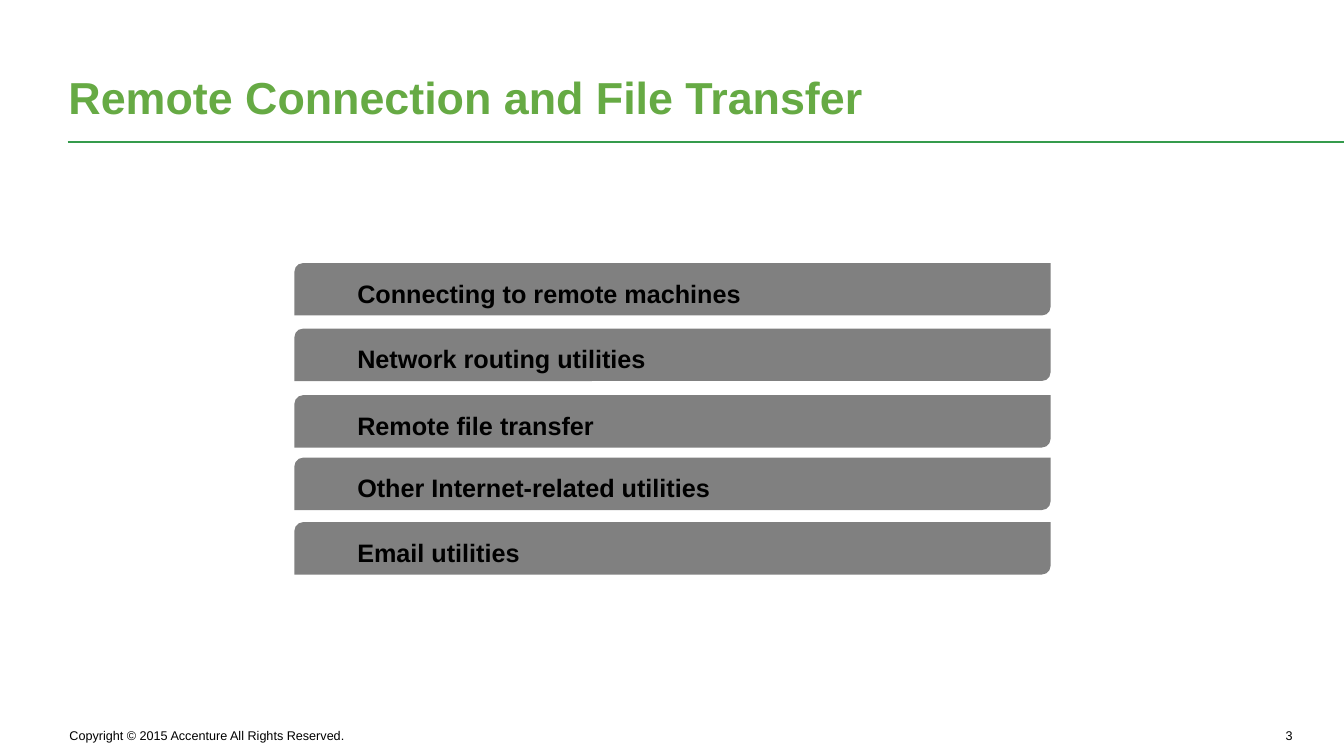
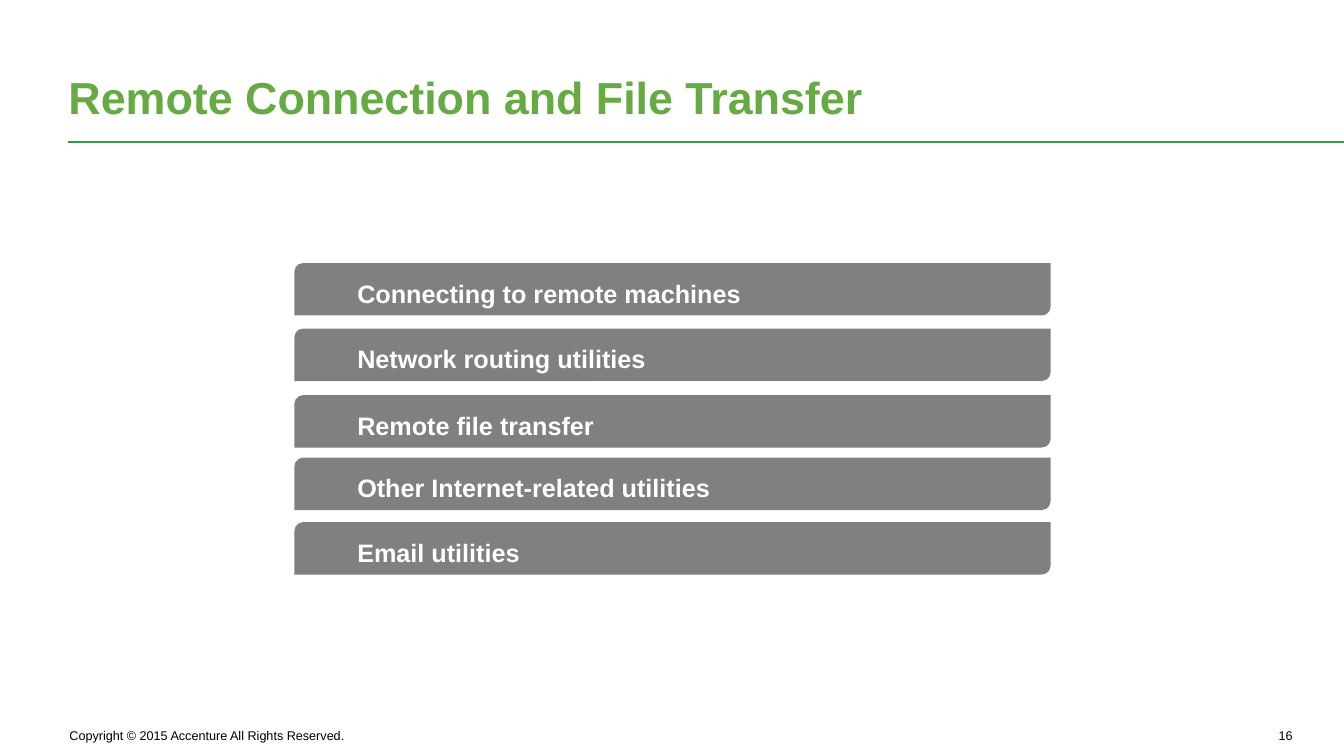
from lxml import etree
from pptx import Presentation
from pptx import util as u
from pptx.dml.color import RGBColor
from pptx.enum import shapes, text
from pptx.oxml import ns

# Shared style
FONT = "Arial"
TITLE_GREEN = RGBColor(0x66, 0xAA, 0x44)
RULE_GREEN = RGBColor(0x35, 0x9B, 0x4C)
BAR_GRAY = RGBColor(0x80, 0x80, 0x80)
BLACK = RGBColor(0, 0, 0)
WHITE = RGBColor(0xFF, 0xFF, 0xFF)

PAGE_WIDTH, PAGE_HEIGHT = 13.33, 7.5
TITLE_BOX = (0.58, 0.14, 12.22, 1.15)
COPYRIGHT_BOX = (0.59, 6.92, 6.55, 0.5)
NUMBER_BOX = (10.45, 7.12, 2.47, 0.3)
AGENDA_BOX = (2.92, 2.61, 7.5, 3.09)
BAR_HEIGHT = 0.52

TITLE = "Remote Connection and File Transfer"
COPYRIGHT = "Copyright © 2015 Accenture All Rights Reserved."
# Each topic with its distance below the top of the agenda
TOPICS = [
    (0, "Connecting to remote machines"),
    (0.65, "Network routing utilities"),
    (1.31, "Remote file transfer"),
    (1.93, "Other Internet-related utilities"),
    (2.57, "Email utilities"),
]


def write(shape, wording, size, color, bold=False,
          align=text.PP_ALIGN.LEFT, spacing=1.0):
    """Put one bottom-anchored paragraph into a shape."""
    frame = shape.text_frame
    frame.word_wrap = True
    frame.vertical_anchor = text.MSO_ANCHOR.BOTTOM
    para = frame.paragraphs[0]
    para.text = wording
    para.alignment = align
    para.line_spacing = spacing
    para.font.name = FONT
    para.font.size = u.Pt(size)
    para.font.bold = bold
    para.font.color.rgb = color
    return para


def add_label(page, box, wording, size, color, **style):
    label = page.shapes.add_textbox(*map(u.Inches, box))
    write(label, wording, size, color, **style)


def add_header(page, box):
    """Title with the rule that runs to the right edge."""
    left, top, width, height = box
    add_label(page, box, TITLE, 32, TITLE_GREEN, bold=True, spacing=0.95)
    rule_y = u.Inches(top + height + 0.12)
    rule = page.shapes.add_connector(
        shapes.MSO_CONNECTOR.STRAIGHT,
        u.Inches(left + 0.09), rule_y, u.Inches(PAGE_WIDTH), rule_y)
    rule.line.color.rgb = RULE_GREEN
    rule.line.width = u.Pt(1)
    etree.SubElement(rule._element.spPr, ns.qn("a:effectLst"))


def add_footer(page, number):
    add_label(page, NUMBER_BOX, str(number), 9, BLACK,
              align=text.PP_ALIGN.RIGHT)
    add_label(page, COPYRIGHT_BOX, COPYRIGHT, 9, BLACK)


def add_agenda(page, box, color):
    """Stack of topic bars."""
    left, top, width, _ = box
    for offset, topic in TOPICS:
        bar = page.shapes.add_shape(
            shapes.MSO_SHAPE.ROUND_2_DIAG_RECTANGLE,
            *map(u.Inches, (left, top + offset, width, BAR_HEIGHT)))
        bar.shadow.inherit = False
        bar.fill.solid()
        bar.fill.fore_color.rgb = BAR_GRAY
        bar.line.fill.background()
        para = write(bar, topic, 18, color, bold=True, spacing=0.8)
        para.level = 1
        properties = para._p.get_or_add_pPr()
        properties.set("marL", str(u.Inches(0.5)))
        properties.set("indent", "0")


def add_agenda_page(deck, number, topic_color):
    page = deck.slides.add_slide(deck.slide_layouts[6])
    add_header(page, TITLE_BOX)
    add_footer(page, number)
    add_agenda(page, AGENDA_BOX, topic_color)


def main():
    deck = Presentation()
    deck.slide_width = u.Inches(PAGE_WIDTH)
    deck.slide_height = u.Inches(PAGE_HEIGHT)
    for number, topic_color in ((3, BLACK), (16, WHITE)):
        add_agenda_page(deck, number, topic_color)
    deck.save("out.pptx")


if __name__ == "__main__":
    main()
